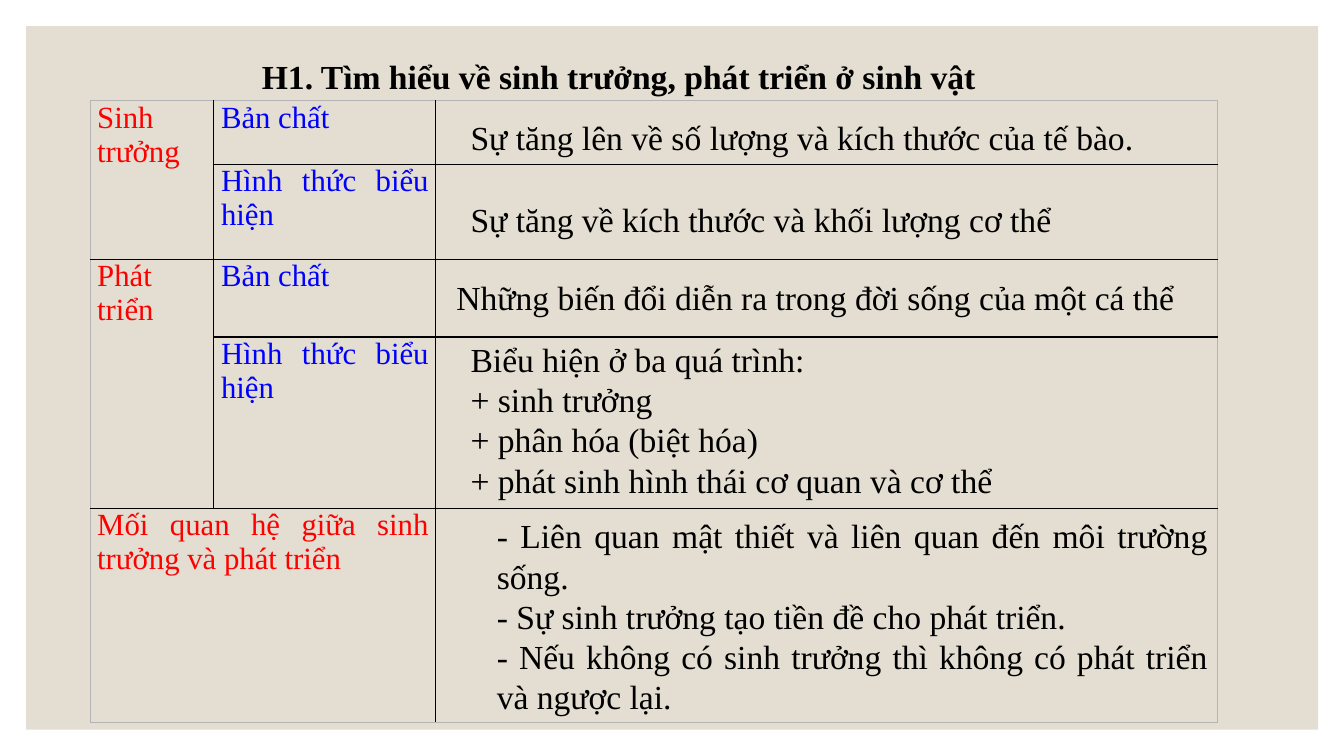
import pptx
import pptx.dml.color
import pptx.enum.shapes
import pptx.enum.text
import pptx.oxml
import pptx.oxml.ns
import pptx.util
from pptx.util import Cm

FONT = "Times New Roman"
BLACK, RED, BLUE = "000000", "FF0000", "0000FF"
GREY, BEIGE = "B4B4B4", "E3DED1"
JUSTIFY = pptx.enum.text.PP_ALIGN.JUSTIFY
LEFT = pptx.enum.text.PP_ALIGN.LEFT

COLUMN_WIDTHS = [3.12, 5.59, 19.71]
ROW_HEIGHTS = [1.6, 2.39, 1.96, 4.32, 5.38]

# Row, column, last row and last column of the cell, wording, colour
LABELS = [
    (0, 0, 1, 0, "Sinh trưởng", RED),
    (0, 1, 0, 1, "Bản chất", BLUE),
    (1, 1, 1, 1, "Hình thức biểu hiện", BLUE),
    (2, 0, 3, 0, "Phát triển", RED),
    (2, 1, 2, 1, "Bản chất", BLUE),
    (3, 1, 3, 1, "Hình thức biểu hiện", BLUE),
    (4, 0, 4, 1, "Mối quan hệ giữa sinh trưởng và phát triển", RED),
]

# Left, top, width, height in centimetres, and the paragraphs
ANSWERS = [
    (11.61, 2.82, 18.11, 1.27, ["Sự tăng lên về số lượng và kích thước của tế bào."]),
    (11.61, 4.88, 16.31, 1.27, ["Sự tăng về kích thước và khối lượng cơ thể"]),
    (11.25, 6.86, 19.1, 1.27, ["Những biến đổi diễn ra trong đời sống của một cá thể"]),
    (11.61, 8.38, 18.42, 4.37, [
        "Biểu hiện ở ba quá trình:",
        "+ sinh trưởng",
        "+ phân hóa (biệt hóa)",
        "+ phát sinh hình thái cơ quan và cơ thể",
    ]),
    (12.27, 12.83, 18.42, 5.38, [
        "- Liên quan mật thiết và liên quan đến môi trường sống.",
        "- Sự sinh trưởng tạo tiền đề cho phát triển.",
        "- Nếu không có sinh trưởng thì không có phát triển và ngược lại.",
    ]),
]


def colour(value):
    return pptx.dml.color.RGBColor.from_string(value)


def write(frame, lines, size=24, fill=BLACK, bold=False, align=JUSTIFY):
    """Write one paragraph for each line, with a shared tab stop."""
    for number, line in enumerate(lines):
        para = frame.paragraphs[0] if number == 0 else frame.add_paragraph()
        para.alignment = align
        tabs = pptx.oxml.parse_xml(
            f'<a:tabLst {pptx.oxml.ns.nsdecls("a")}>'
            f'<a:tab pos="{Cm(1.25)}" algn="l"/></a:tabLst>')
        para._p.get_or_add_pPr().append(tabs)
        span = para.add_run()
        span.text = line
        span.font.name = FONT
        span.font.size = pptx.util.Pt(size)
        span.font.bold = bold
        span.font.color.rgb = colour(fill)


def add_background(page):
    panel = page.shapes.add_shape(
        pptx.enum.shapes.MSO_SHAPE.RECTANGLE, Cm(0.66), Cm(0.66), Cm(32.56), Cm(17.73))
    panel.shadow.inherit = False
    panel.fill.solid()
    panel.fill.fore_color.rgb = colour(BEIGE)
    panel.line.fill.background()


def add_text(page, left, top, width, height, lines, **look):
    box = page.shapes.add_textbox(Cm(left), Cm(top), Cm(width), Cm(height))
    frame = box.text_frame
    frame.word_wrap = True
    frame.auto_size = pptx.enum.text.MSO_AUTO_SIZE.SHAPE_TO_FIT_TEXT
    frame.vertical_anchor = pptx.enum.text.MSO_ANCHOR.MIDDLE
    write(frame, lines, **look)


def set_borders(cell, outer_sides):
    """Draw grey hairlines on the outer sides and black lines on the others."""
    properties = cell._tc.get_or_add_tcPr()
    for position, side in enumerate("LRTB"):
        tint, points = (GREY, 0.5) if side in outer_sides else (BLACK, 1)
        border = pptx.oxml.parse_xml(
            f'<a:ln{side} {pptx.oxml.ns.nsdecls("a")} w="{pptx.util.Pt(points)}">'
            f'<a:solidFill><a:srgbClr val="{tint}"/></a:solidFill></a:ln{side}>')
        properties.insert(position, border)


def add_comparison_table(page):
    rows, columns = len(ROW_HEIGHTS), len(COLUMN_WIDTHS)
    frame = page.shapes.add_table(
        rows, columns, Cm(2.27), Cm(2.54), Cm(sum(COLUMN_WIDTHS)), Cm(sum(ROW_HEIGHTS)))
    table = frame.table
    table.first_row = False
    table.horz_banding = False
    for column, width in zip(table.columns, COLUMN_WIDTHS):
        column.width = Cm(width)
    for row, height in zip(table.rows, ROW_HEIGHTS):
        row.height = Cm(height)

    # Plain cells with ruled sides
    for r in range(rows):
        for c in range(columns):
            cell = table.cell(r, c)
            cell.fill.background()
            cell.margin_left = cell.margin_right = Cm(0.18)
            cell.margin_top = cell.margin_bottom = 0
            edges = {"L": c == 0, "R": c == columns - 1, "T": r == 0, "B": r == rows - 1}
            set_borders(cell, [side for side, is_outer in edges.items() if is_outer])

    # Headings, some of them across several cells
    for r, c, last_row, last_column, label, tint in LABELS:
        cell = table.cell(r, c)
        if (r, c) != (last_row, last_column):
            cell.merge(table.cell(last_row, last_column))
        write(cell.text_frame, [label], size=22, fill=tint)


def main():
    deck = pptx.Presentation()
    deck.slide_width, deck.slide_height = Cm(33.87), Cm(19.05)
    page = deck.slides.add_slide(deck.slide_layouts[6])

    add_background(page)
    add_comparison_table(page)

    # Title and answers over the table
    add_text(page, 6.35, 1.27, 22.23, 1.27,
             ["H1. Tìm hiểu về sinh trưởng, phát triển ở sinh vật"], bold=True, align=LEFT)
    for answer in ANSWERS:
        add_text(page, *answer)

    deck.save("out.pptx")


if __name__ == "__main__":
    main()
